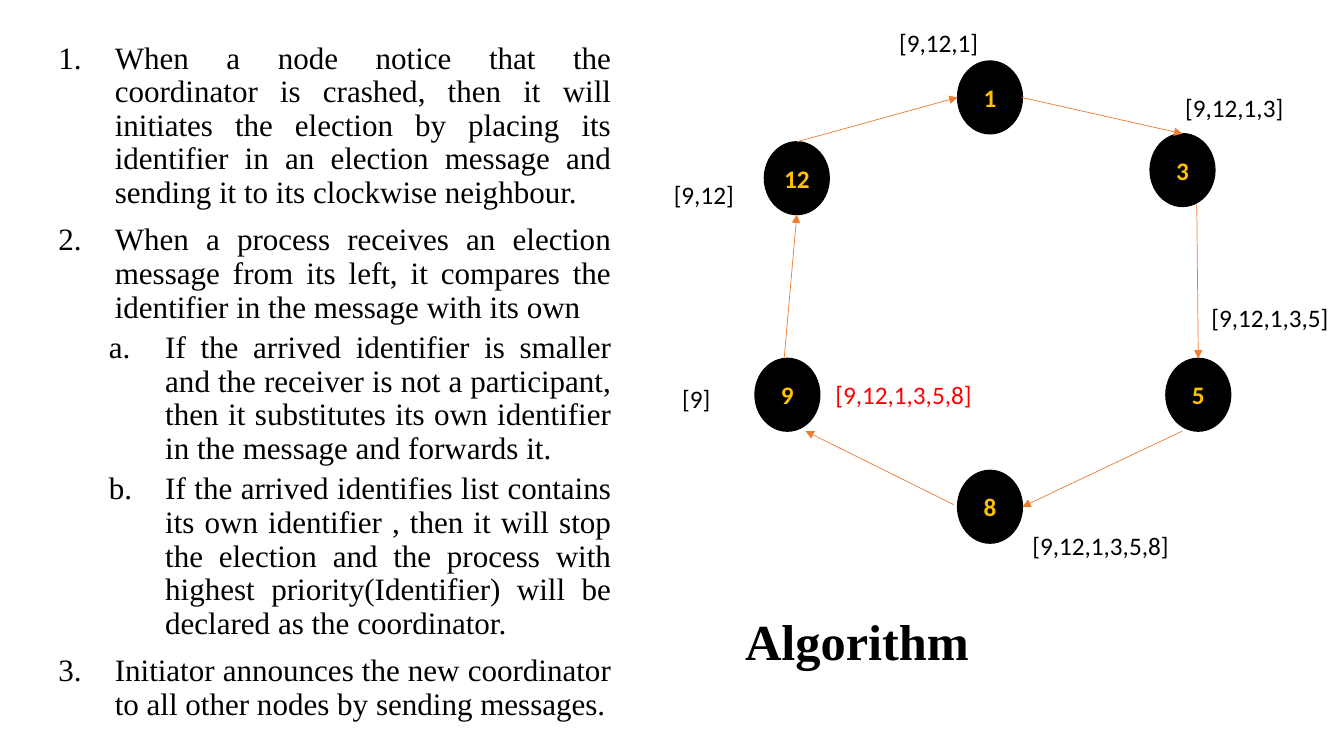
import pptx
import pptx.util
from lxml import etree
from pptx.dml.color import RGBColor
from pptx.enum.shapes import MSO_CONNECTOR, MSO_SHAPE
from pptx.enum.text import MSO_ANCHOR, PP_ALIGN
from pptx.oxml.ns import qn

Pt = pptx.util.Pt

BLACK = RGBColor(0x00, 0x00, 0x00)
GOLD = RGBColor(0xFF, 0xC0, 0x00)
ORANGE = RGBColor(0xED, 0x7D, 0x31)
RED = RGBColor(0xFF, 0x00, 0x00)
SERIF, SANS = "Times New Roman", "Calibri"
LINE_SPACING = 0.9

TITLE = "Algorithm"
# (outline level, text)
STEPS = [
    (0, "When a node notice that the coordinator is crashed, then it will initiates the "
        "election by placing its identifier in an election message and sending it to its "
        "clockwise neighbour."),
    (0, "When a process receives an election message from its left, it compares the "
        "identifier in the message with its own"),
    (1, "If the arrived identifier is smaller and the receiver is not a participant, then "
        "it substitutes its own identifier in the message and forwards it."),
    (1, "If the arrived identifies list contains its own identifier , then it will stop the "
        "election and the process with highest priority(Identifier) will be declared as "
        "the coordinator."),
    (0, "Initiator announces the new coordinator to all other nodes by sending messages."),
]
# Per level: numbering scheme, left margin, space before
LEVELS = [("arabicPeriod", 40.3, 10), ("alphaLcPeriod", 76.3, 5)]
HANGING = 40.3

NODE_WIDTH, NODE_HEIGHT = 46.3, 52
# Node identifier: left, top
NODES = {
    "12": (546, 101.3),
    "9": (539.3, 256),
    "8": (684, 336),
    "5": (832.8, 256),
    "3": (821.5, 95.5),
    "1": (684, 43.6),
}
# Sender, its anchor, receiver, its anchor; anchors are fractions of the node's box
MESSAGES = [
    ("9", (0.45, 0), "12", (0.5, 1)),
    ("12", (0.5, 0), "1", (0, 0.5)),
    ("1", (0.99, 0.5), "3", (0.5, 0)),
    ("3", (0.72, 0.97), "5", (0.5, 0)),
    ("5", (0.25, 1), "8", (1, 0.5)),
    ("8", (-0.06, 0.47), "9", (0.78, 1)),
]
# Text, left, top, width, colour
LABELS = [
    ("[9]", 480.2, 270, 34.6, BLACK),
    ("[9,12]", 474.2, 124.6, 57.6, BLACK),
    ("[9,12,1]", 635.2, 15.8, 71.3, BLACK),
    ("[9,12,1,3]", 839.5, 62.6, 85.7, BLACK),
    ("[9,12,1,3,5]", 858.2, 212.4, 99.4, BLACK),
    ("[9,12,1,3,5,8]", 730.4, 375.1, 113, BLACK),
    ("[9,12,1,3,5,8]", 589.7, 267.4, 113, RED),
]


def style(paragraph, name, size, color, bold=False):
    for run in paragraph.runs:
        run.font.name = name
        run.font.size = Pt(size)
        run.font.color.rgb = color
        run.font.bold = bold


def add_text_box(slide, left, top, width, height, wrap=True):
    box = slide.shapes.add_textbox(Pt(left), Pt(top), Pt(width), Pt(height))
    box.text_frame.word_wrap = wrap
    return box.text_frame


def add_title(slide):
    frame = add_text_box(slide, 525.1, 424, 408, 72)
    frame.vertical_anchor = MSO_ANCHOR.MIDDLE
    frame.text = TITLE
    frame.paragraphs[0].line_spacing = LINE_SPACING
    style(frame.paragraphs[0], SERIF, 36, BLACK, bold=True)


def add_steps(slide):
    frame = add_text_box(slide, 34.6, 26.6, 409.4, 511)
    for index, (level, text) in enumerate(STEPS):
        scheme, margin, space = LEVELS[level]
        paragraph = frame.add_paragraph() if index else frame.paragraphs[0]
        paragraph.text = text
        paragraph.level = level
        paragraph.alignment = PP_ALIGN.JUSTIFY
        paragraph.line_spacing = LINE_SPACING
        paragraph.space_before = Pt(space if index else 0)
        properties = paragraph._p.get_or_add_pPr()
        properties.set("marL", str(Pt(margin)))
        properties.set("indent", str(-Pt(HANGING)))
        font = etree.SubElement(properties, qn("a:buFont"))
        font.set("typeface", SERIF)
        etree.SubElement(properties, qn("a:buAutoNum")).set("type", scheme)
        style(paragraph, SERIF, 22.2, BLACK)


def add_node(slide, identifier, left, top):
    node = slide.shapes.add_shape(
        MSO_SHAPE.OVAL, Pt(left), Pt(top), Pt(NODE_WIDTH), Pt(NODE_HEIGHT))
    node.shadow.inherit = False
    node.fill.solid()
    node.fill.fore_color.rgb = BLACK
    node.line.color.rgb = BLACK
    node.line.width = Pt(1)
    frame = node.text_frame
    frame.margin_left = frame.margin_right = 0
    frame.vertical_anchor = MSO_ANCHOR.MIDDLE
    frame.text = identifier
    frame.paragraphs[0].alignment = PP_ALIGN.CENTER
    style(frame.paragraphs[0], SANS, 18, GOLD, bold=True)


def anchor_point(identifier, anchor):
    left, top = NODES[identifier]
    return Pt(left + anchor[0] * NODE_WIDTH), Pt(top + anchor[1] * NODE_HEIGHT)


def add_message(slide, sender, start, receiver, end):
    arrow = slide.shapes.add_connector(
        MSO_CONNECTOR.STRAIGHT, *anchor_point(sender, start), *anchor_point(receiver, end))
    arrow.line.color.rgb = ORANGE
    arrow.line.width = Pt(0.5)
    etree.SubElement(arrow.line._get_or_add_ln(), qn("a:tailEnd")).set("type", "triangle")
    etree.SubElement(arrow._element.spPr, qn("a:effectLst"))


def add_label(slide, text, left, top, width, color):
    frame = add_text_box(slide, left, top, width, 28.8, wrap=False)
    frame.text = text
    style(frame.paragraphs[0], SANS, 18, color)


def main():
    presentation = pptx.Presentation()
    presentation.slide_width, presentation.slide_height = Pt(960), Pt(540)
    slide = presentation.slides.add_slide(presentation.slide_layouts[6])
    add_title(slide)
    add_steps(slide)
    for identifier, (left, top) in NODES.items():
        add_node(slide, identifier, left, top)
    for message in MESSAGES:
        add_message(slide, *message)
    for label in LABELS:
        add_label(slide, *label)
    presentation.save("out.pptx")


if __name__ == "__main__":
    main()
